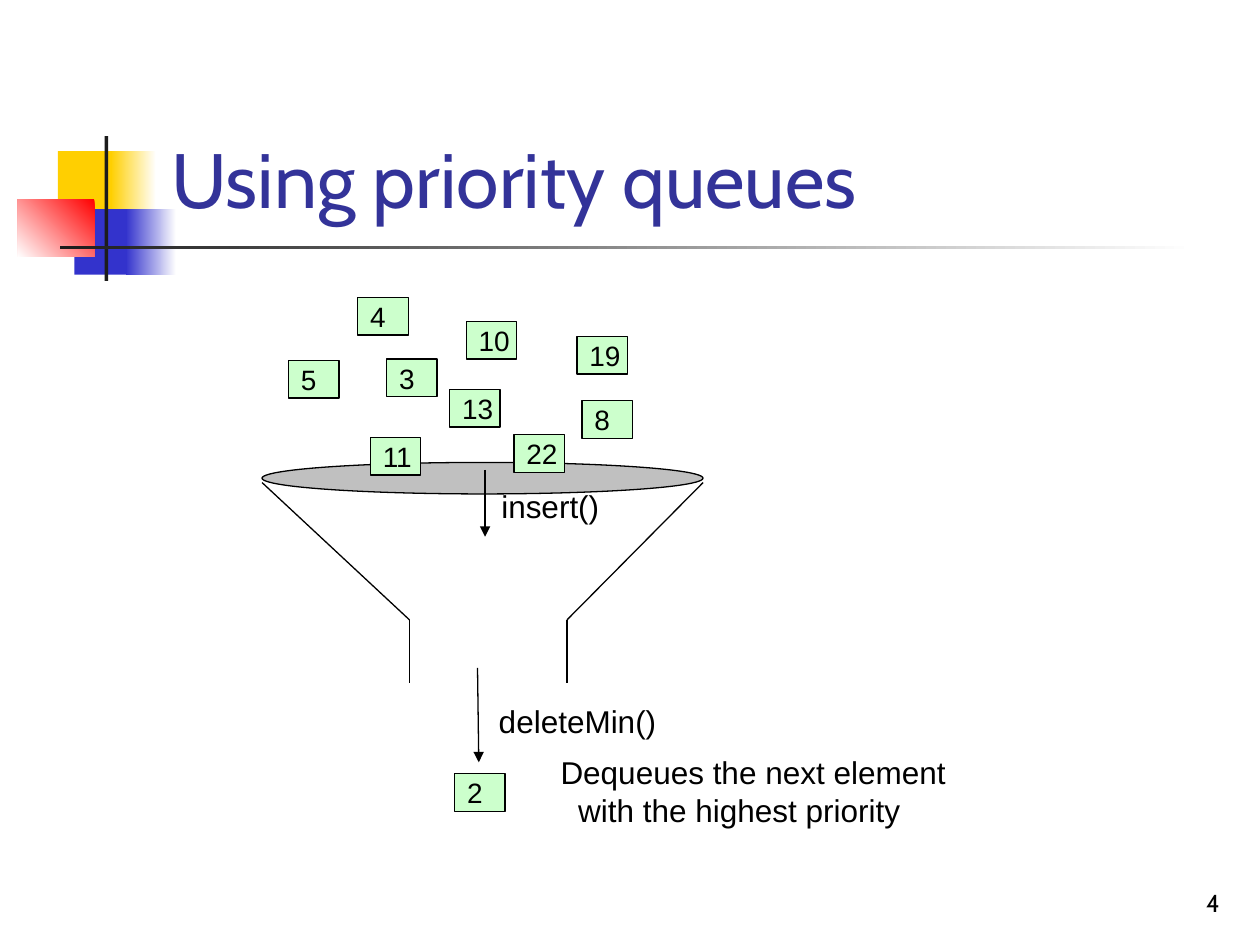
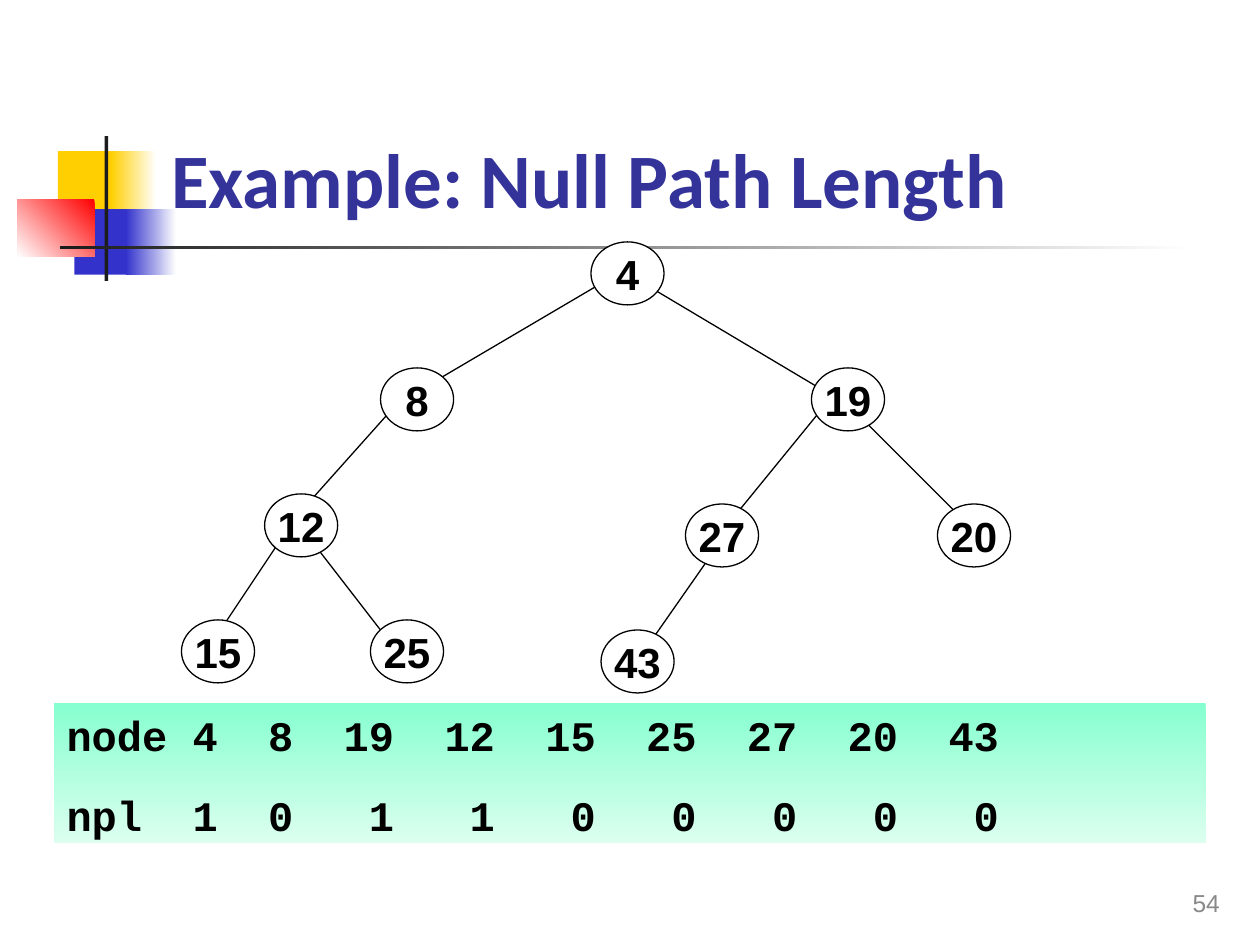
from dataclasses import dataclass
from typing import NamedTuple, Optional

from lxml.etree import SubElement
from pptx import Presentation
from pptx.dml.color import RGBColor
from pptx.enum.shapes import MSO_CONNECTOR, MSO_SHAPE
from pptx.enum.text import MSO_ANCHOR as Anchor, PP_ALIGN as Align
from pptx.oxml.ns import qn
from pptx.util import Inches, Pt

BLACK = RGBColor(0x00, 0x00, 0x00)
WHITE = RGBColor(0xFF, 0xFF, 0xFF)
CHARCOAL = RGBColor(0x1C, 0x1C, 0x1C)
NUMBER_GRAY = RGBColor(0x89, 0x89, 0x89)
YELLOW = RGBColor(0xFF, 0xCF, 0x01)
BLUE = RGBColor(0x33, 0x33, 0xCC)
RED = RGBColor(0xFF, 0x00, 0x00)
TITLE_BLUE = RGBColor(0x33, 0x33, 0x99)
TILE_GREEN = RGBColor(0xCC, 0xFF, 0xCC)
FUNNEL_GRAY = RGBColor(0xC0, 0xC0, 0xC0)
MINT = RGBColor(0x86, 0xFF, 0xCF)
PALE_MINT = RGBColor(0xDC, 0xFF, 0xEF)


class Area(NamedTuple):
    left: float
    top: float
    width: float
    height: float


class Segment(NamedTuple):
    x1: float
    y1: float
    x2: float
    y2: float


class Label(NamedTuple):
    text: str
    left: float
    top: float


class Gradient(NamedTuple):
    """Two colours; the angle runs clockwise from left to right."""
    start: RGBColor
    end: RGBColor
    angle: int


@dataclass(frozen=True)
class TextStyle:
    font: str
    size: int
    color: RGBColor = BLACK
    bold: bool = False
    align: Align = Align.LEFT
    anchor: Anchor = Anchor.TOP


@dataclass(frozen=True)
class Band:
    area: Area
    fill: RGBColor | Gradient


BANDS = [
    Band(Area(0.46, 1.2, 0.48, 0.52), YELLOW),
    Band(Area(0.88, 1.2, 0.36, 0.52), Gradient(WHITE, YELLOW, 180)),
    Band(Area(0.59, 1.66, 0.46, 0.52), BLUE),
    Band(Area(1, 1.66, 0.4, 0.52), Gradient(WHITE, BLUE, 180)),
    Band(Area(0.14, 1.58, 0.61, 0.46), Gradient(RED, WHITE, 135)),
    Band(Area(0.83, 1.08, 0.03, 1.15), CHARCOAL),
    Band(Area(0.48, 1.95, 9, 0.03), Gradient(WHITE, CHARCOAL, 180)),
]
TITLE_AREA = Area(1.26, 0.83, 8.52, 1)
NUMBER_AREA = Area(7.7, 6.83, 2.08, 0.5)

TILE_STYLE = TextStyle("Arial", 16, anchor=Anchor.MIDDLE)
CAPTION_STYLE = TextStyle("Arial", 18)
NODE_STYLE = TextStyle("Arial", 24, bold=True, align=Align.CENTER, anchor=Anchor.MIDDLE)
CODE_STYLE = TextStyle("Courier New", 24, bold=True)

QUEUE_TILES = [
    Label("5", 2.29, 2.86), Label("3", 3.07, 2.85), Label("10", 3.7, 2.55),
    Label("13", 3.57, 3.09), Label("19", 4.58, 2.67), Label("8", 4.62, 3.18),
    Label("4", 2.84, 2.36), Label("22", 4.08, 3.45), Label("11", 2.94, 3.47),
    Label("2", 3.61, 6.14),
]
FUNNEL_WALLS = [
    Segment(2.08, 3.83, 3.25, 4.92), Segment(3.25, 4.92, 3.25, 5.42),
    Segment(4.5, 4.92, 4.5, 5.42), Segment(4.5, 4.92, 5.58, 3.83),
]
FUNNEL_MOUTH = Area(2.08, 3.67, 3.5, 0.25)
INSERT_ARROW = Segment(3.85, 3.73, 3.85, 4.26)
DELETE_ARROW = Segment(3.79, 5.3, 3.8, 6.05)

TREE_EDGES = [
    Segment(3.36, 3.08, 4.77, 2.25), Segment(5.11, 2.25, 6.52, 3.09),
    Segment(3.11, 3.25, 2.36, 4.09), Segment(2.44, 4.25, 3.02, 5),
    Segment(5.69, 4.34, 5.11, 5.17), Segment(6.52, 3.25, 5.77, 4.17),
    Segment(6.77, 3.25, 7.69, 4.17), Segment(2.19, 4.34, 1.69, 5.09),
]
TREE_NODES = [
    Label("4", 4.69, 1.92),
    Label("8", 3.02, 2.92), Label("19", 6.44, 2.92),
    Label("12", 2.1, 3.92), Label("27", 5.44, 4), Label("20", 7.44, 4),
    Label("15", 1.44, 4.92), Label("25", 2.94, 4.92), Label("43", 4.77, 5),
]
PATH_LENGTHS = {4: 1, 8: 0, 19: 1, 12: 1, 15: 0, 25: 0, 27: 0, 20: 0, 43: 0}
LENGTH_BAND = Area(0.43, 5.58, 9.14, 1.11)


def inches(area: Area) -> list[int]:
    return [Inches(length) for length in area]


def write(shape, lines: list[str], style: TextStyle, wrap: bool = True,
          side_inset: float = 0.1) -> None:
    """Text starts at the side inset; the right inset stays zero."""
    frame = shape.text_frame
    frame.word_wrap = wrap
    frame.vertical_anchor = style.anchor
    frame.margin_left = Inches(side_inset)
    frame.margin_right = Inches(side_inset if style.align == Align.RIGHT else 0)
    frame.margin_top = frame.margin_bottom = Inches(0.05)
    frame.text = "\n".join(lines)
    for para in frame.paragraphs:
        para.alignment = style.align
        for span in para.runs:
            span.font.name = style.font
            span.font.size = Pt(style.size)
            span.font.bold = style.bold
            span.font.color.rgb = style.color


def add_text(page, area: Area, lines: list[str], style: TextStyle):
    box = page.shapes.add_textbox(*inches(area))
    write(box, lines, style)
    return box


def add_figure(page, kind: MSO_SHAPE, area: Area, fill: RGBColor | Gradient,
               outline: Optional[RGBColor] = None):
    figure = page.shapes.add_shape(kind, *inches(area))
    figure.shadow.inherit = False
    if isinstance(fill, Gradient):
        figure.fill.gradient()
        figure.fill.gradient_angle = 360 - fill.angle
        for stop, color in zip(figure.fill.gradient_stops, (fill.start, fill.end)):
            stop.color.rgb = color
    else:
        figure.fill.solid()
        figure.fill.fore_color.rgb = fill
    if outline is None:
        figure.line.fill.background()
    else:
        figure.line.color.rgb = outline
        figure.line.width = Pt(0.75)
    return figure


def add_line(page, segment: Segment, arrow: bool = False) -> None:
    line = page.shapes.add_connector(
        MSO_CONNECTOR.STRAIGHT, *(Inches(value) for value in segment))
    line.line.color.rgb = BLACK
    line.line.width = Pt(0.75)
    if arrow:
        SubElement(line.line._get_or_add_ln(), qn("a:tailEnd"), type="triangle")
    SubElement(line._element.spPr, qn("a:effectLst"))


def add_tile(page, tile: Label) -> None:
    figure = add_figure(page, MSO_SHAPE.RECTANGLE,
                        Area(tile.left, tile.top, 0.4, 0.3), TILE_GREEN, BLACK)
    write(figure, [tile.text], TILE_STYLE)


def add_node(page, node: Label) -> None:
    figure = add_figure(page, MSO_SHAPE.OVAL,
                        Area(node.left, node.top, 0.58, 0.5), WHITE, BLACK)
    write(figure, [node.text], NODE_STYLE, wrap=False, side_inset=0)


def set_right_tabs(para, positions: list[float]) -> None:
    tabs = SubElement(para._p.get_or_add_pPr(), qn("a:tabLst"))
    for position in positions:
        SubElement(tabs, qn("a:tab"), pos=str(Inches(position)), algn="r")


def start_page(deck, title: str, title_font: str, bold: bool,
               number: str, number_font: str, number_color: RGBColor):
    page = deck.slides.add_slide(deck.slide_layouts[6])
    for band in BANDS:
        add_figure(page, MSO_SHAPE.RECTANGLE, band.area, band.fill)
    add_text(page, TITLE_AREA, [title],
             TextStyle(title_font, 44, TITLE_BLUE, bold, anchor=Anchor.BOTTOM))
    add_text(page, NUMBER_AREA, [number],
             TextStyle(number_font, 14, number_color, align=Align.RIGHT,
                       anchor=Anchor.BOTTOM))
    return page


def build_queue_page(deck) -> None:
    page = start_page(deck, "Using priority queues", "Cabin", False,
                      "4", "Cabin", BLACK)
    for wall in FUNNEL_WALLS:
        add_line(page, wall)
    add_figure(page, MSO_SHAPE.OVAL, FUNNEL_MOUTH, FUNNEL_GRAY, BLACK)
    for tile in QUEUE_TILES:
        add_tile(page, tile)
    for arrow in (DELETE_ARROW, INSERT_ARROW):
        add_line(page, arrow, arrow=True)
    add_text(page, Area(3.88, 3.82, 0.98, 0.4), ["insert()"], CAPTION_STYLE)
    add_text(page, Area(3.86, 5.52, 1.45, 0.4), ["deleteMin()"], CAPTION_STYLE)
    note = add_text(page, Area(4.35, 5.93, 3.32, 0.7),
                    ["Dequeues the next element", "with the highest priority"],
                    CAPTION_STYLE)
    second_line = note.text_frame.paragraphs[1]
    second_line._p.get_or_add_pPr().set("marL", str(Inches(0.14)))


def build_tree_page(deck) -> None:
    page = start_page(deck, "Example: Null Path Length", "Calibri", True,
                      "54", "Arial", NUMBER_GRAY)
    for edge in TREE_EDGES:
        add_line(page, edge)
    for node in TREE_NODES:
        add_node(page, node)
    band = add_figure(page, MSO_SHAPE.RECTANGLE, LENGTH_BAND,
                      Gradient(MINT, PALE_MINT, 90))
    rows = [["node", *PATH_LENGTHS.keys()], ["npl", *PATH_LENGTHS.values()]]
    write(band, ["\t".join(map(str, row)) for row in rows], CODE_STYLE)
    wide_columns = len(PATH_LENGTHS) - 2
    stops = [1.2, 1.8] + [2.6 + 0.8 * column for column in range(wide_columns)]
    for para in band.text_frame.paragraphs:
        set_right_tabs(para, stops)
    band.text_frame.paragraphs[1].space_before = Pt(17)


def main() -> None:
    deck = Presentation()
    deck.slide_width, deck.slide_height = Inches(10), Inches(7.5)
    build_queue_page(deck)
    build_tree_page(deck)
    deck.save("out.pptx")


if __name__ == "__main__":
    main()
